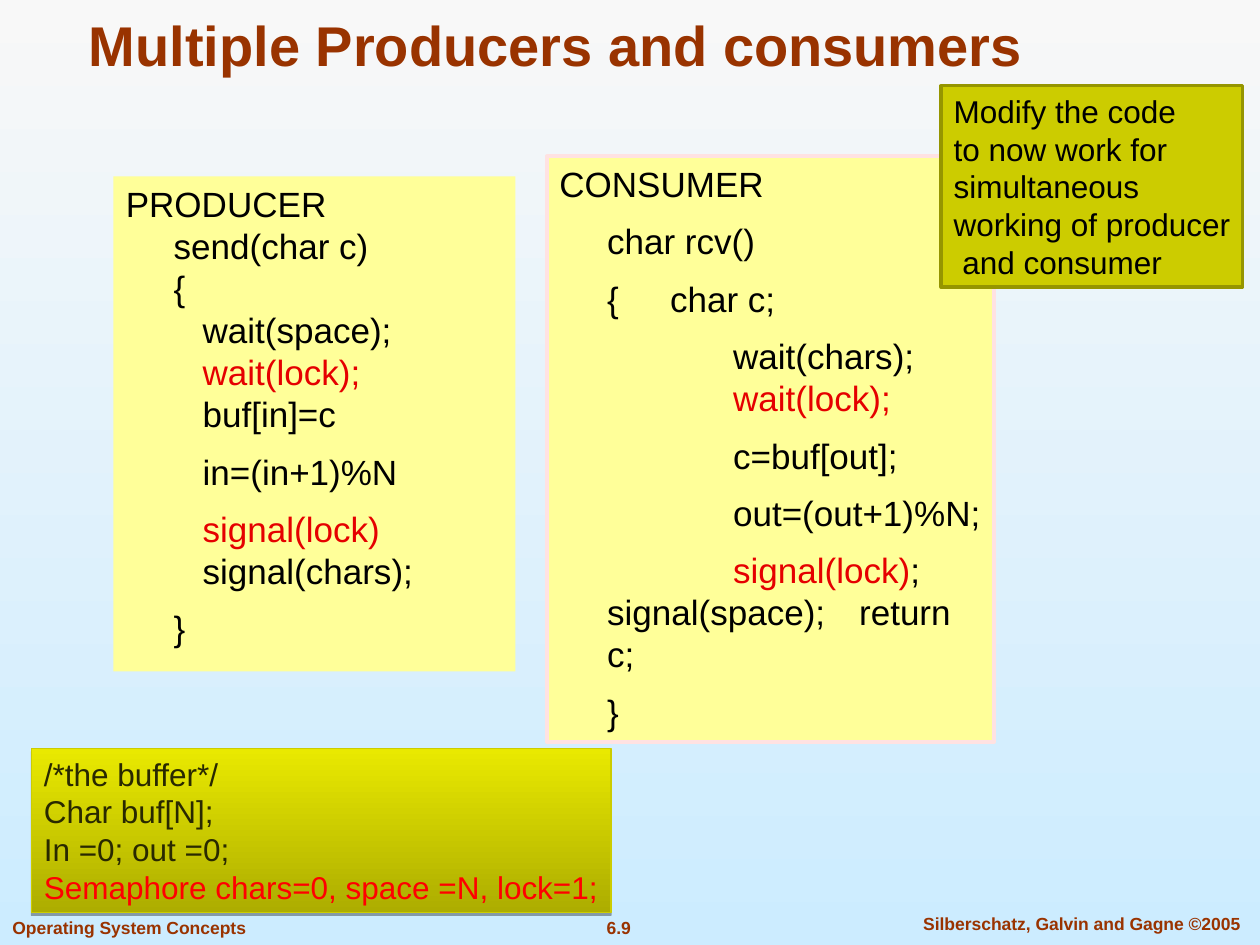
from dataclasses import dataclass

from lxml import etree
from pptx import Presentation
from pptx.dml.color import RGBColor
from pptx.enum.shapes import MSO_SHAPE
from pptx.enum.text import MSO_ANCHOR, MSO_AUTO_SIZE, PP_ALIGN
from pptx.oxml.ns import qn
from pptx.util import Inches, Pt

RECT = MSO_SHAPE.RECTANGLE
TOP, BOTTOM = MSO_ANCHOR.TOP, MSO_ANCHOR.BOTTOM
LEFT, CENTER = PP_ALIGN.LEFT, PP_ALIGN.CENTER
FIXED = MSO_AUTO_SIZE.NONE

FONT = "Arial"
GAP = 8.8
STEP, DEEP, BODY = 0.38, 0.61, 1.38  # code indents
COLORS = {
    "sky_top": "F8F8F8", "sky_low": "CCECFF", "brown": "993300",
    "cream": "FFFF99", "pink": "FFE2E2", "ink": "000000", "red": "E50000",
    "olive": "CCCC00", "moss": "959500", "dark": "292900", "alert": "FF0000",
    "low": "ADAD00", "high": "E9E900",
}


@dataclass
class Line:
    text: str
    left: float = 0
    gap: float = 0
    hue: str = "ink"
    tail: str = ""  # closing text in ink


@dataclass
class Box:
    at: tuple[float, float, float, float]
    lines: list[Line]
    size: int
    fill: str = ""
    edge: str = ""
    width: float = 2
    wrap: bool = False


def color(name: str) -> RGBColor:
    return RGBColor.from_string(COLORS[name])


def style(para, size: int, hue: str, bold: bool = False, align=LEFT) -> None:
    para.alignment = align
    font = para.font
    font.name, font.size, font.bold = FONT, Pt(size), bold
    font.color.rgb = color(hue)


def blend(fill, start: str, end: str, angle: int) -> None:
    fill.gradient()
    fill.gradient_angle = angle
    for stop, name in zip(fill.gradient_stops, (start, end)):
        stop.color.rgb = color(name)


def indent(para, left: float) -> None:
    props = para._p.get_or_add_pPr()
    props.set("marL", str(Inches(left)))
    props.set("indent", "0")


def add_tabs(para) -> None:
    tabs = etree.Element(qn("a:tabLst"))
    for pos in (1, 2):
        etree.SubElement(tabs, qn("a:tab"), pos=str(Inches(pos)), algn="l")
    para._p.get_or_add_pPr().find(qn("a:defRPr")).addprevious(tabs)


def add_shadow(shape) -> None:
    effects = shape._element.spPr.find(qn("a:effectLst"))
    outer = etree.SubElement(effects, qn("a:outerShdw"), blurRad="0",
                             dist=str(Pt(1.8)), dir="5400000", rotWithShape="0")
    tint = etree.SubElement(outer, qn("a:srgbClr"), val=COLORS["ink"])
    etree.SubElement(tint, qn("a:alpha"), val="35000")


def add_box(slide, box: Box):
    shape = slide.shapes.add_shape(RECT, *map(Inches, box.at))
    shape.shadow.inherit = False
    shape.fill.solid()
    shape.fill.fore_color.rgb = color(box.fill)
    if box.edge:
        shape.line.color.rgb = color(box.edge)
        shape.line.width = Pt(box.width)
    else:
        shape.line.fill.background()
    frame = shape.text_frame
    frame.word_wrap = box.wrap
    frame.vertical_anchor = TOP
    for i, line in enumerate(box.lines):
        para = frame.add_paragraph() if i else frame.paragraphs[0]
        style(para, box.size, line.hue)
        indent(para, line.left)
        para.space_before = Pt(line.gap)
        if "\t" in line.text:
            add_tabs(para)
        para.add_run().text = line.text
        if line.tail:
            tail = para.add_run()
            tail.text = line.tail
            tail.font.color.rgb = color("ink")
    return shape


def add_note(slide, text: str, at: tuple, align) -> None:
    frame = slide.shapes.add_textbox(*map(Inches, at)).text_frame
    frame.word_wrap = False
    frame.text = text
    style(frame.paragraphs[0], 10, "brown", True, align)


PRODUCER = Box((0.9, 1.4, 3.19, 3.93), [
    Line("PRODUCER"),
    Line("send(char c)", STEP),
    Line("{", STEP),
    Line("wait(space);", DEEP),
    Line("wait(lock);", DEEP, hue="red"),
    Line("buf[in]=c", DEEP),
    Line("in=(in+1)%N", DEEP, GAP),
    Line("signal(lock)", DEEP, GAP, "red"),
    Line("signal(chars);", DEEP),
    Line("}", STEP, GAP),
], 20, "cream", wrap=True)

CONSUMER = Box((4.34, 1.24, 3.55, 4.65), [
    Line("CONSUMER"),
    Line("char rcv()", STEP, GAP),
    Line("{\tchar c;", STEP, GAP),
    Line("wait(chars);", BODY, GAP),
    Line("wait(lock);", BODY, hue="red"),
    Line("c=buf[out];", BODY, GAP),
    Line("out=(out+1)%N;", BODY, GAP),
    Line("signal(lock)", BODY, GAP, "red", ";"),
    Line("signal(space);\treturn c;", STEP),
    Line("}", STEP, GAP),
], 20, "cream", "pink", wrap=True)

BUFFER = Box((0.25, 5.94, 4.6, 1.3), [
    Line("/*the buffer*/", hue="dark"),
    Line("Char buf[N];", hue="dark"),
    Line("In =0; out =0;", hue="dark"),
    Line("Semaphore chars=0, space =N, lock=1;", hue="alert"),
], 18, "olive", "olive", 0.75)

TASK = Box((7.47, 0.68, 2.39, 1.6), [
    Line("Modify the code"),
    Line("to now work for"),
    Line("simultaneous"),
    Line("working of producer"),
    Line(" and consumer"),
], 18, "olive", "moss")


def main() -> None:
    deck = Presentation()
    deck.slide_width, deck.slide_height = Inches(10), Inches(7.5)
    slide = deck.slides.add_slide(deck.slide_layouts[5])
    blend(slide.background.fill, "sky_top", "sky_low", 270)

    # Title
    title = slide.shapes.title
    title.left, title.top = Inches(0), Inches(0)
    title.width, title.height = Inches(8.83), Inches(0.67)
    frame = title.text_frame
    frame.text = "Multiple Producers and consumers"
    frame.auto_size = FIXED
    frame.vertical_anchor = BOTTOM
    style(frame.paragraphs[0], 32, "brown", True, CENTER)

    # Footer
    add_note(slide, "6.9", (4.42, 7.23, 0.98, 0.27), CENTER)
    add_note(slide, "Silberschatz, Galvin and Gagne ©2005",
             (7.1, 7.2, 2.97, 0.27), CENTER)
    add_note(slide, "Operating System Concepts", (0, 7.23, 2.05, 0.27), LEFT)

    # Code and notes
    add_box(slide, PRODUCER)
    add_box(slide, CONSUMER)
    buffer = add_box(slide, BUFFER)
    blend(buffer.fill, "low", "high", 90)
    add_shadow(buffer)
    add_box(slide, TASK)

    deck.save("out.pptx")


if __name__ == "__main__":
    main()
